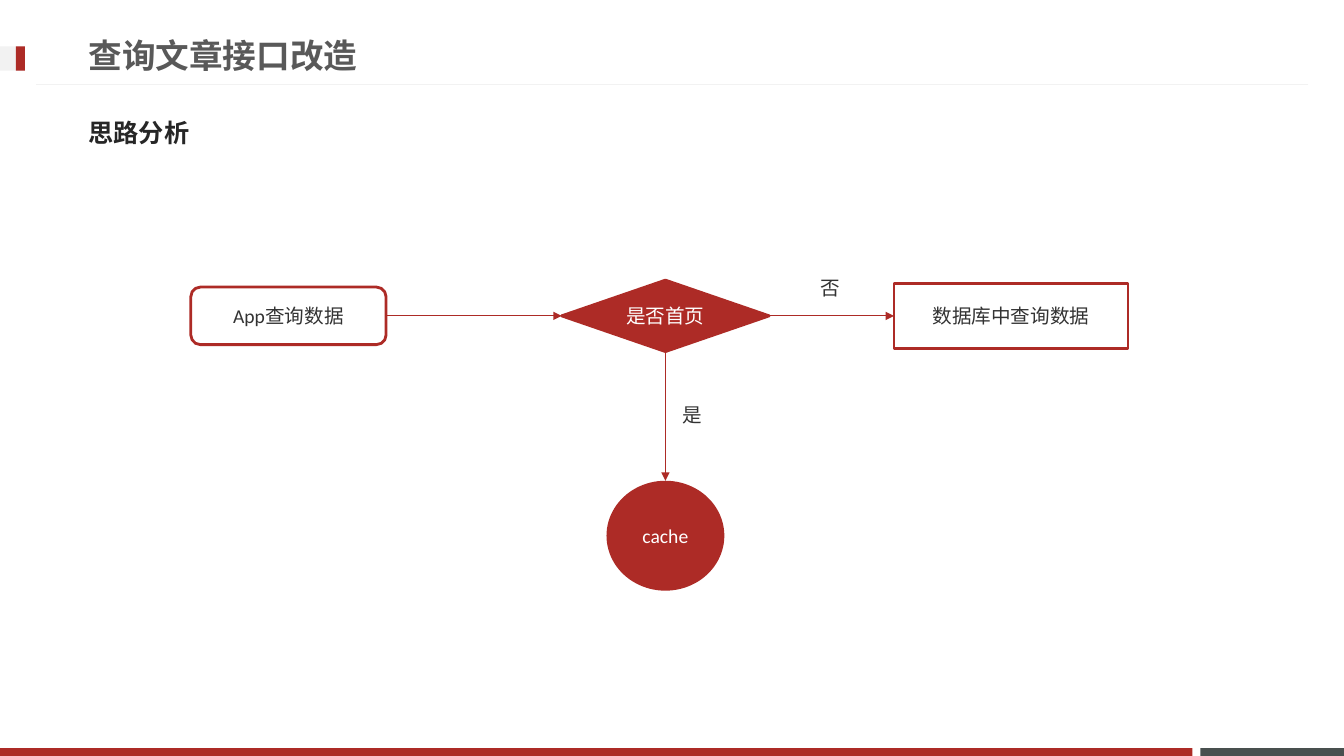
from lxml.etree import SubElement
from pptx import Presentation
from pptx.dml.color import RGBColor
from pptx.enum.shapes import MSO_CONNECTOR, MSO_SHAPE
from pptx.enum.text import MSO_ANCHOR, PP_ALIGN
from pptx.oxml.ns import qn
from pptx.util import Cm, Pt

COLORS = {
    "red": "AD2B26",
    "slate": "49504F",
    "pale": "F2F2F2",
    "title": "595959",
    "heading": "262626",
    "text": "333333",
    "white": "FFFFFF",
}
CJK_FONT = "Noto Sans CJK JP"
TOP, LEFT, BOTTOM, RIGHT = 0, 1, 2, 3
ROW_MIDDLE = 7.96
DECISION_CENTER = 16.77


def color(name):
    return RGBColor.from_string(COLORS[name])


def write_text(shape, text, font="Calibri", size=14, ink="text", bold=False,
               align=PP_ALIGN.LEFT, wrap=True):
    frame = shape.text_frame
    frame.word_wrap = wrap
    frame.vertical_anchor = MSO_ANCHOR.MIDDLE
    para = frame.paragraphs[0]
    para.alignment = align
    span = para.add_run()
    span.text = text
    span.font.size = Pt(size)
    span.font.bold = bold
    span.font.color.rgb = color(ink)
    span.font.name = font
    east_asian = SubElement(span.font._element, qn("a:ea"))
    east_asian.set("typeface", CJK_FONT)


def add_label(page, text, left, top, width, height, **text_format):
    box = page.shapes.add_textbox(Cm(left), Cm(top), Cm(width), Cm(height))
    write_text(box, text, **text_format)


def add_figure(page, kind, left, top, width, height, fill=None, line=None):
    shape = page.shapes.add_shape(kind, Cm(left), Cm(top), Cm(width), Cm(height))
    shape.shadow.inherit = False
    if fill:
        shape.fill.solid()
        shape.fill.fore_color.rgb = color(fill)
    else:
        shape.fill.background()
    if line:
        shape.line.color.rgb = color(line)
        shape.line.width = Pt(2)
    else:
        shape.line.fill.background()
    return shape


def add_node(page, kind, text, center, middle, width, height, fill=None, line="red"):
    """Add a flowchart step placed by its centre point."""
    node = add_figure(page, kind, center - width / 2, middle - height / 2,
                      width, height, fill, line)
    write_text(node, text, ink="white" if fill else "text", align=PP_ALIGN.CENTER)
    return node


def add_line(page, line, start=(0, 0), end=(0, 0)):
    connector = page.shapes.add_connector(
        MSO_CONNECTOR.STRAIGHT, Cm(start[0]), Cm(start[1]), Cm(end[0]), Cm(end[1]))
    connector.line.color.rgb = color(line)
    connector.line.width = Pt(0.75)
    SubElement(connector._element.spPr, qn("a:effectLst"))
    return connector


def add_arrow(page, source, source_side, target, target_side):
    arrow = add_line(page, "red")
    arrow.begin_connect(source, source_side)
    arrow.end_connect(target, target_side)
    SubElement(arrow.line._get_or_add_ln(), qn("a:tailEnd")).set("type", "triangle")


def add_frame(page):
    """Add the footer bars, the header rule and the header marker."""
    bars = [
        (30.25, 18.85, 3.62, 0.2, "slate"),
        (0, 18.85, 30.05, 0.2, "red"),
        (0, 1.17, 0.63, 0.61, "pale"),
        (0.4, 1.17, 0.23, 0.61, "red"),
    ]
    for left, top, width, height, fill in bars:
        add_figure(page, MSO_SHAPE.RECTANGLE, left, top, width, height, fill)
    add_line(page, "pale", (32.97, 2.13), (0.9, 2.13))


def add_flowchart(page):
    query = add_node(page, MSO_SHAPE.ROUNDED_RECTANGLE, "App查询数据",
                     7.27, ROW_MIDDLE, 4.92, 1.45)
    decision = add_node(page, MSO_SHAPE.FLOWCHART_DECISION, "是否首页",
                        DECISION_CENTER, ROW_MIDDLE, 5.23, 1.8, fill="red")
    database = add_node(page, MSO_SHAPE.RECTANGLE, "数据库中查询数据",
                        25.48, ROW_MIDDLE, 5.9, 1.65)
    cache = add_node(page, MSO_SHAPE.OVAL, "cache",
                     DECISION_CENTER, 13.5, 2.97, 2.77, fill="red", line=None)
    add_arrow(page, query, RIGHT, decision, LEFT)
    add_arrow(page, decision, RIGHT, database, LEFT)
    add_arrow(page, decision, BOTTOM, cache, TOP)
    for text, left, top in [("是", 16.94, 10.03), ("否", 20.42, 6.81)]:
        add_label(page, text, left, top, 1.6, 0.86, font="Open Sans")


def main():
    deck = Presentation()
    deck.slide_width, deck.slide_height = Cm(33.87), Cm(19.05)
    page = deck.slides.add_slide(deck.slide_layouts[6])
    add_frame(page)
    add_label(page, "查询文章接口改造", 1.98, 0.66, 24.36, 1.45,
              font="Lato", size=24, ink="title", bold=True)
    add_label(page, "思路分析", 1.98, 2.62, 29.72, 1.45,
              font=CJK_FONT, size=18, ink="heading", bold=True)
    add_flowchart(page)
    deck.save("out.pptx")


if __name__ == "__main__":
    main()
